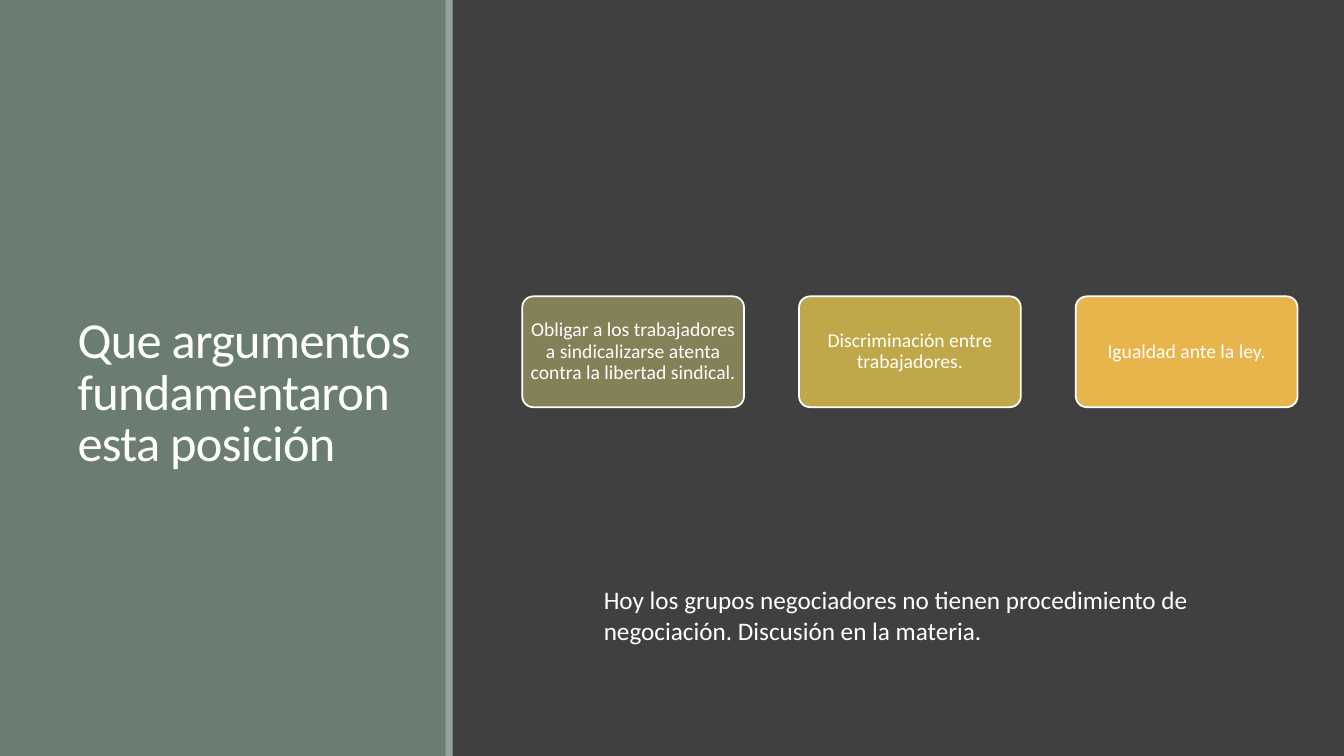
"""Build a slide with a title panel, three argument boxes and a closing note."""
from dataclasses import dataclass

from pptx import Presentation
from pptx import util as u
from pptx.dml.color import RGBColor
from pptx.enum import shapes, text

FONT = "Calibri"
WHITE = "FFFFFF"
BOX_LEFT, BOX_TOP, BOX_STEP = 5.18, 2.94, 2.745
BOX_WIDTH, BOX_HEIGHT = 2.2, 1.1


@dataclass
class Panel:
    left: float
    width: float
    color: str


@dataclass
class Argument:
    text: str
    color: str


PANELS = [Panel(0, 4.43, "6B7D72"), Panel(4.42, 0.07, "93A299")]
ARGUMENTS = [
    Argument("Obligar a los trabajadores a sindicalizarse atenta contra la libertad sindical.", "848058"),
    Argument("Discriminación entre trabajadores.", "C0A749"),
    Argument("Igualdad ante la ley.", "E8B54D"),
]


def paint(fmt, color: str) -> None:
    """Set a solid fill from a hex string."""
    fmt.solid()
    fmt.fore_color.rgb = RGBColor.from_string(color)


def write(sp, content: str, size: float):
    """Put white wrapped text into a shape and return its paragraph."""
    tf = sp.text_frame
    tf.text = content
    tf.word_wrap = True
    p = tf.paragraphs[0]
    for r in p.runs:
        r.font.name = FONT
        r.font.size = u.Pt(size)
        paint(r.font.fill, WHITE)
    return p


def add_panel(s, panel: Panel) -> None:
    """Draw a full-height panel without outline."""
    sp = s.shapes.add_shape(shapes.MSO_SHAPE.RECTANGLE, u.Inches(panel.left), 0,
                            u.Inches(panel.width), u.Inches(7.5))
    sp.shadow.inherit = False
    paint(sp.fill, panel.color)
    sp.line.fill.background()


def add_title(s, content: str) -> None:
    """Place the title placeholder above the panels."""
    sp = s.shapes.title
    s.shapes._spTree.append(sp._element)
    sp.left, sp.top = u.Inches(0.67), u.Inches(2.23)
    sp.width, sp.height = u.Inches(3.5), u.Inches(2.5)
    p = write(sp, content, 36)
    p.alignment = text.PP_ALIGN.LEFT
    p.line_spacing = 0.85
    p.runs[0].font._element.set("spc", "-50")
    sp.text_frame.auto_size = text.MSO_AUTO_SIZE.NONE
    sp.text_frame.vertical_anchor = text.MSO_ANCHOR.BOTTOM


def add_argument(s, index: int, argument: Argument) -> None:
    """Draw one rounded argument box in the row."""
    sp = s.shapes.add_shape(shapes.MSO_SHAPE.ROUNDED_RECTANGLE,
                            u.Inches(BOX_LEFT + index * BOX_STEP), u.Inches(BOX_TOP),
                            u.Inches(BOX_WIDTH), u.Inches(BOX_HEIGHT))
    sp.adjustments[0] = 0.1
    sp.shadow.inherit = False
    paint(sp.fill, argument.color)
    paint(sp.line.fill, WHITE)
    sp.line.width = u.Pt(1.25)
    p = write(sp, argument.text, 14)
    p.alignment = text.PP_ALIGN.CENTER
    p.line_spacing = 0.9
    tf = sp.text_frame
    tf.vertical_anchor = text.MSO_ANCHOR.MIDDLE
    tf.margin_left = tf.margin_right = u.Inches(0.03)
    tf.margin_top = tf.margin_bottom = u.Inches(0.02)


def add_note(s, content: str) -> None:
    """Add the closing note under the boxes."""
    sp = s.shapes.add_textbox(u.Inches(5.89), u.Inches(5.75), u.Inches(6.26), u.Inches(0.71))
    write(sp, content, 18)


def main() -> None:
    """Compose and save the slide."""
    prs = Presentation()
    prs.slide_width, prs.slide_height = u.Inches(13.33), u.Inches(7.5)
    s = prs.slides.add_slide(prs.slide_layouts[5])
    paint(s.background.fill, "404040")
    for panel in PANELS:
        add_panel(s, panel)
    add_title(s, "Que argumentos fundamentaron esta posición")
    for index, argument in enumerate(ARGUMENTS):
        add_argument(s, index, argument)
    add_note(s, "Hoy los grupos negociadores no tienen procedimiento de negociación. Discusión en la materia.")
    prs.save("out.pptx")


if __name__ == "__main__":
    main()
